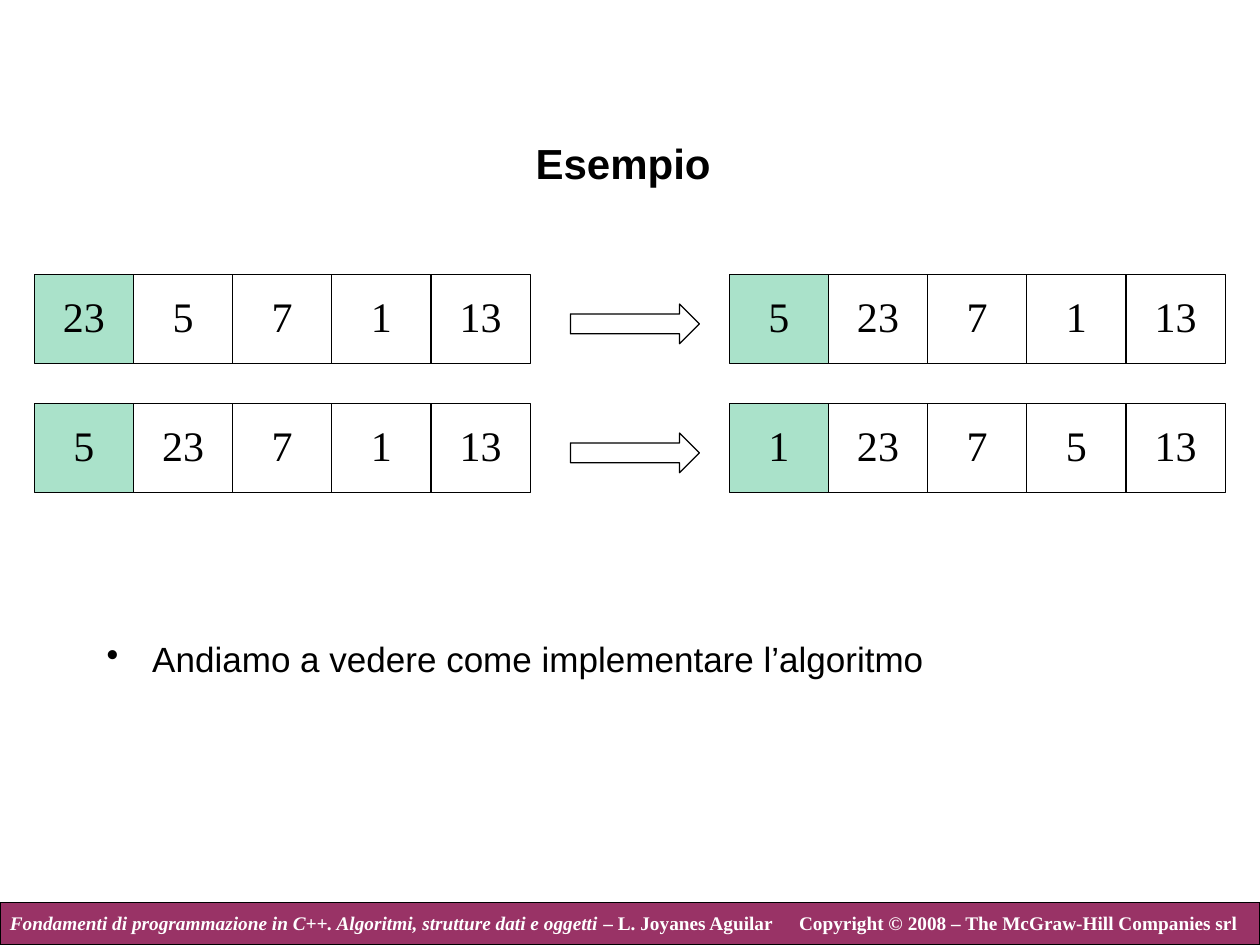
from dataclasses import dataclass

from lxml import etree
from pptx import Presentation
from pptx.dml.color import RGBColor
from pptx.enum.shapes import MSO_SHAPE
from pptx.enum.text import MSO_ANCHOR, MSO_AUTO_SIZE, PP_ALIGN
from pptx.oxml.ns import qn
from pptx.util import Cm, Pt

RECTANGLE, RIGHT_ARROW = MSO_SHAPE.RECTANGLE, MSO_SHAPE.RIGHT_ARROW
LEFT, CENTER, RIGHT = PP_ALIGN.LEFT, PP_ALIGN.CENTER, PP_ALIGN.RIGHT
TOP, MIDDLE = MSO_ANCHOR.TOP, MSO_ANCHOR.MIDDLE
FIT_SHAPE = MSO_AUTO_SIZE.SHAPE_TO_FIT_TEXT


@dataclass(frozen=True)
class Theme:
    black: RGBColor = RGBColor(0x00, 0x00, 0x00)
    white: RGBColor = RGBColor(0xFF, 0xFF, 0xFF)
    footer: RGBColor = RGBColor(0x99, 0x33, 0x66)
    highlight: RGBColor = RGBColor(0xAA, 0xE2, 0xCA)
    sans: str = "Arial"
    serif: str = "Times New Roman"
    title_size: int = 24
    body_size: int = 20
    footer_size: int = 11
    outline: float = 0.75


THEME = Theme()


@dataclass(frozen=True)
class Box:
    left: float
    top: float
    width: float
    height: float

    def lengths(self) -> tuple:
        return Cm(self.left), Cm(self.top), Cm(self.width), Cm(self.height)


@dataclass(frozen=True)
class Style:
    font: str
    size: int
    color: RGBColor
    bold: bool = False
    italic: bool = False


@dataclass(frozen=True)
class Step:
    before: tuple
    after: tuple


TITLE = Style(THEME.sans, THEME.title_size, THEME.black, bold=True)
BODY = Style(THEME.sans, THEME.body_size, THEME.black)
NUMBER = Style(THEME.serif, THEME.title_size, THEME.black)
FOOTER = Style(THEME.serif, THEME.footer_size, THEME.white, bold=True)
FOOTER_BOOK = Style(THEME.serif, THEME.footer_size, THEME.white, bold=True, italic=True)

STEPS = (
    Step((23, 5, 7, 1, 13), (5, 23, 7, 1, 13)),
    Step((5, 23, 7, 1, 13), (1, 23, 7, 5, 13)),
)
CELL_WIDTH, CELL_HEIGHT = 2.0, 1.8
BEFORE_LEFT, ARROW_LEFT, AFTER_LEFT = 0.69, 11.5, 14.7
FIRST_TOP, STEP_PITCH = 5.53, 2.6
ARROW_DROP = 0.6


def add_run(paragraph, text: str, style: Style) -> None:
    run = paragraph.add_run()
    run.text = text
    font = run.font
    font.name, font.size = style.font, Pt(style.size)
    font.bold, font.italic = style.bold, style.italic
    font.color.rgb = style.color


def add_outlined(slide, preset, box: Box, fill: RGBColor | None = None):
    outlined = slide.shapes.add_shape(preset, *box.lengths())
    outlined.shadow.inherit = False
    if fill is None:
        outlined.fill.background()
    else:
        outlined.fill.solid()
        outlined.fill.fore_color.rgb = fill
    outlined.line.color.rgb = THEME.black
    outlined.line.width = Pt(THEME.outline)
    return outlined


def add_text(slide, box: Box, runs: tuple, align=LEFT, anchor=TOP, wrap: bool = True):
    frame = slide.shapes.add_textbox(*box.lengths()).text_frame
    frame.word_wrap = wrap
    frame.vertical_anchor = anchor
    if not wrap:
        frame.auto_size = FIT_SHAPE
    paragraph = frame.paragraphs[0]
    paragraph.alignment = align
    for text, style in runs:
        add_run(paragraph, text, style)
    return paragraph


def add_bullet(paragraph, color: RGBColor, indent: float) -> None:
    properties = paragraph._p.get_or_add_pPr()
    properties.set("marL", str(Cm(indent)))
    properties.set("indent", str(-Cm(indent)))
    bullet_color = etree.SubElement(properties, qn("a:buClr"))
    etree.SubElement(bullet_color, qn("a:srgbClr"), val=str(color))
    etree.SubElement(properties, qn("a:buChar"), char="•")


def add_array(slide, left: float, top: float, values: tuple) -> None:
    for index, value in enumerate(values):
        box = Box(left + index * CELL_WIDTH, top, CELL_WIDTH, CELL_HEIGHT)
        cell = add_outlined(slide, RECTANGLE, box, THEME.highlight if index == 0 else None)
        frame = cell.text_frame
        frame.vertical_anchor = TOP
        frame.margin_top = Cm(0.32)
        paragraph = frame.paragraphs[0]
        paragraph.alignment = CENTER
        add_run(paragraph, str(value), NUMBER)


def add_step(slide, top: float, step: Step) -> None:
    add_array(slide, BEFORE_LEFT, top, step.before)
    add_array(slide, AFTER_LEFT, top, step.after)
    add_outlined(slide, RIGHT_ARROW, Box(ARROW_LEFT, top + ARROW_DROP, 2.6, 0.8))


def add_footer(slide) -> None:
    add_outlined(slide, RECTANGLE, Box(0, 18.2, 25.4, 0.85), THEME.footer)
    book = "Fondamenti di programmazione in C++. Algoritmi, strutture dati e oggetti"
    add_text(slide, Box(-0.05, 18.24, 15.93, 0.74),
             ((book, FOOTER_BOOK), (" – L. Joyanes Aguilar", FOOTER)), wrap=False)
    add_text(slide, Box(15.85, 18.24, 9.35, 0.74),
             (("Copyright © 2008 – The McGraw-Hill Companies srl", FOOTER),),
             align=RIGHT, wrap=False)


def main() -> None:
    deck = Presentation()
    deck.slide_width, deck.slide_height = Cm(25.4), Cm(19.05)
    slide = deck.slides.add_slide(deck.slide_layouts[6])
    add_footer(slide)
    add_text(slide, Box(1.9, 1.7, 21.56, 3.15), (("Esempio ", TITLE),), CENTER, MIDDLE)
    remark = add_text(slide, Box(1.9, 12.73, 21.56, 5.3),
                      (("Andiamo a vedere come implementare l’algoritmo", BODY),))
    add_bullet(remark, THEME.black, 0.92)
    for row, step in enumerate(STEPS):
        add_step(slide, FIRST_TOP + row * STEP_PITCH, step)
    deck.save("out.pptx")


if __name__ == "__main__":
    main()
